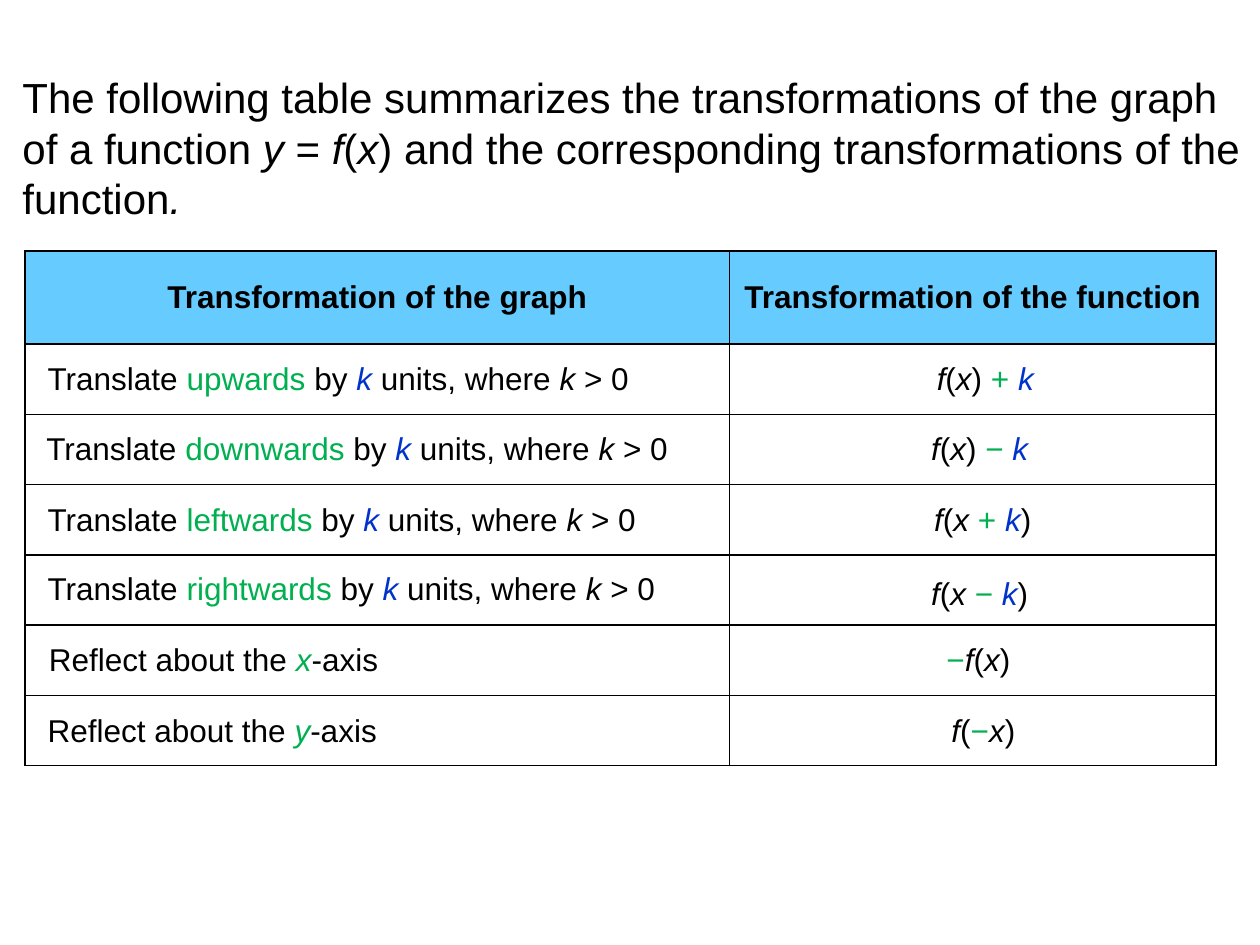
from pptx import Presentation
from pptx.dml.color import RGBColor
from pptx.enum.text import MSO_ANCHOR as Anchor, MSO_AUTO_SIZE as Auto, PP_ALIGN as Align
from pptx.oxml import parse_xml
from pptx.oxml.ns import nsdecls
from pptx.util import Inches, Pt

BLACK = RGBColor(0, 0, 0)
GREEN = RGBColor(0x00, 0xB0, 0x50)
BLUE = RGBColor(0x00, 0x33, 0xCC)
SKY = RGBColor(0x66, 0xCC, 0xFF)

MARKS = {
    "": (BLACK, False),
    "i": (BLACK, True),
    "g": (GREEN, False),
    "gi": (GREEN, True),
    "bi": (BLUE, True),
}
INTRO = ("The following table summarizes the transformations of the graph of a function "
         "|i:y| = |i:f|(|i:x|) and the corresponding transformations of the function|i:.")
HEADS = ("Transformation of the graph", "Transformation of the function")
MOVE = "Translate |g:{}| by |bi:k| units, where |i:k| > 0"
FLIP = "Reflect about the |gi:{}|-axis"
ROWS = (
    (MOVE.format("upwards"), (2.8, 48.6, 0), False,
     "|i:f|(|i:x|) |g:+ |bi:k", (73.3, 9.8, 0)),
    (MOVE.format("downwards"), (2.7, 56.5, 0), True,
     "|i:f|(|i:x|) |g:− |bi:k", (72.9, 9.7, 0)),
    (MOVE.format("leftwards"), (2.8, 49.1, 0), False,
     "|i:f|(|i:x |g:+ |bi:k|)", (73.1, 9.8, 0)),
    (MOVE.format("rightwards"), (2.8, 51.8, -0.1), True,
     "|i:f|(|i:x |g:− |bi:k|)", (72.9, 9.7, 0.3)),
    (FLIP.format("x"), (2.9, 28.4, 0), False,
     "|g:−|i:f|(|i:x|) ", (73.8, 7.7, 0)),
    (FLIP.format("y"), (2.8, 28.4, 0), False,
     "|i:f|(|g:−|i:x|) ", (74.2, 7.7, 0)),
)


class Page:
    """Draws on one slide with a grid of 100 columns by 75 rows."""

    def __init__(self, deck):
        self.unit = Inches(0.1)
        self.style = {"name": "Arial", "size": Pt(18), "bold": False}
        self.slide = deck.slides.add_slide(deck.slide_layouts[6])

    def grid(self, *spans):
        return [round(span * self.unit) for span in spans]

    def fill(self, para, text, **extra):
        for part in filter(None, text.split("|")):
            mark, _, words = part.rpartition(":")
            run = para.add_run()
            run.text = words
            color, slant = MARKS[mark]
            for key, value in {**self.style, "italic": slant, **extra}.items():
                setattr(run.font, key, value)
            run.font.color.rgb = color

    def text(self, at, text, wrap=True, align=Align.LEFT, **extra):
        frame = self.slide.shapes.add_textbox(*self.grid(*at)).text_frame
        frame.word_wrap = wrap
        frame.auto_size = Auto.SHAPE_TO_FIT_TEXT
        para = frame.paragraphs[0]
        para.alignment = align
        self.fill(para, text, **extra)

    def edge(self, cell):
        props = cell._tc.get_or_add_tcPr()
        for side in "LRTB":
            props.append(parse_xml(
                f'<a:ln{side} {nsdecls("a")} w="{Pt(1)}"><a:solidFill>'
                f'<a:srgbClr val="{BLACK}"/></a:solidFill></a:ln{side}>'))

    def table(self, at, heads, cols, rows):
        frame = self.slide.shapes.add_table(len(rows), len(cols), *self.grid(*at))
        table = frame.table
        for col, width in zip(table.columns, self.grid(*cols)):
            col.width = width
        for row, height in zip(table.rows, self.grid(*rows)):
            row.height = height
        for cell in table.iter_cells():
            self.edge(cell)
            cell.fill.background()
        for cell, head in zip(table.rows[0].cells, heads):
            cell.fill.solid()
            cell.fill.fore_color.rgb = SKY
            cell.vertical_anchor = Anchor.MIDDLE
            para = cell.text_frame.paragraphs[0]
            para.alignment = Align.CENTER
            self.fill(para, head, bold=True)


def main():
    deck = Presentation()
    deck.slide_width, deck.slide_height = Inches(10), Inches(7.5)
    page = Page(deck)
    top, head, step = 19.9, 7.4, 5.58
    page.text((0.8, 5.2, 98.8, 13.1), INTRO, size=Pt(24))
    page.table((2, top, 94.5, 41), HEADS, (55.9, 38.6), [head] + [step] * len(ROWS))
    for i, (graph, left, wrap, rule, right) in enumerate(ROWS):
        y = top + head + 0.7 + i * step
        for text, (x, width, drop), fit, align in (
                (graph, left, wrap, Align.LEFT), (rule, right, False, Align.CENTER)):
            page.text((x, y + drop, width, 4), text, fit, align)
    deck.save("out.pptx")


if __name__ == "__main__":
    main()
